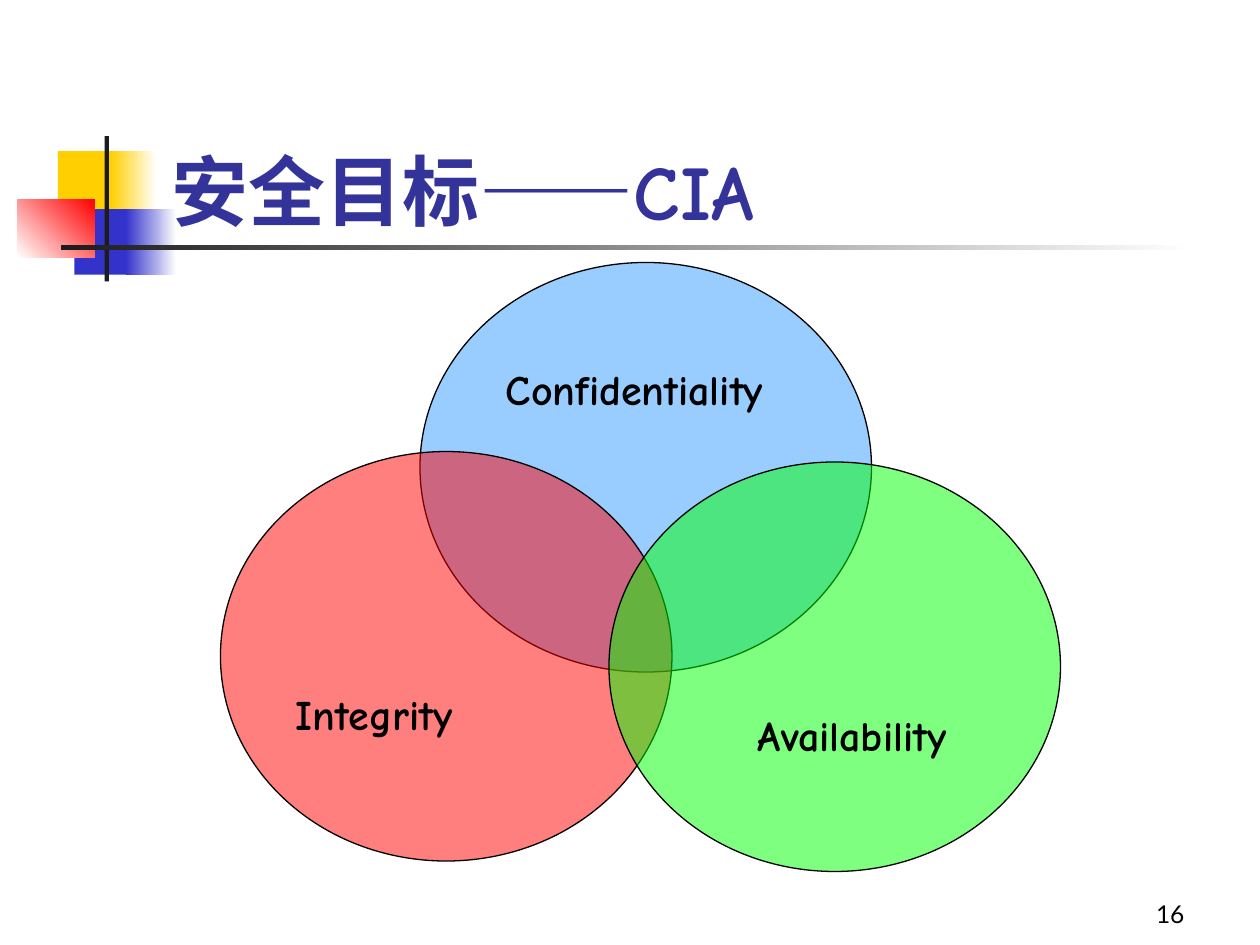
from lxml.etree import SubElement
from pptx import Presentation
from pptx.dml.color import RGBColor
from pptx.enum.shapes import MSO_SHAPE
from pptx.enum.text import MSO_ANCHOR, MSO_AUTO_SIZE, PP_ALIGN
from pptx.oxml.ns import qn
from pptx.util import Pt

COLORS = {
    "yellow": "FFCF01", "indigo": "3333CC", "red": "FF0000", "white": "FFFFFF",
    "charcoal": "1C1C1C", "title": "333399", "black": "000000",
    "sky": "99CCFF", "green": "00FF00",
}


def add_filled(kind, box, colors, angle=0):
    """Add a shape with a solid fill, or a gradient if two colours are given."""
    sp = s.shapes.add_shape(kind, *[Pt(v) for v in box])
    sp.shadow.inherit = False
    sp.line.fill.background()
    if len(colors) == 1:
        sp.fill.solid()
        sp.fill.fore_color.rgb = RGBColor.from_string(COLORS[colors[0]])
    else:
        sp.fill.gradient()
        sp.fill.gradient_angle = angle
        for stop, name, position in zip(sp.fill.gradient_stops, colors, (0, 1)):
            stop.color.rgb = RGBColor.from_string(COLORS[name])
            stop.position = position
    return sp


def write(sp, text, color, align=PP_ALIGN.LEFT, **font):
    """Put one formatted line of text into a shape."""
    tf = sp.text_frame
    tf.word_wrap = True
    tf.auto_size = MSO_AUTO_SIZE.NONE
    p = tf.paragraphs[0]
    p.alignment = align
    r = p.add_run()
    r.text = text
    for name, value in font.items():
        setattr(r.font, name, value)
    r.font.color.rgb = RGBColor.from_string(COLORS[color])


prs = Presentation()
prs.slide_width, prs.slide_height = Pt(720), Pt(540)
s = prs.slides.add_slide(prs.slide_layouts[5])
title = s.shapes.title

# Corner decoration and rule under the title
for box, colors, angle in [
    ((33.1, 86.4, 34.6, 37.4), ["yellow"], 0),
    ((63.4, 86.4, 25.9, 37.4), ["yellow", "white"], 0),
    ((42.5, 119.5, 33.1, 37.4), ["indigo"], 0),
    ((72, 119.5, 28.8, 37.4), ["indigo", "white"], 0),
    ((10, 113.8, 44, 33.1), ["white", "red"], 45),
    ((59.8, 77.8, 2.4, 83), ["charcoal"], 0),
    ((34.6, 140.2, 648, 2.4), ["charcoal", "white"], 0),
]:
    add_filled(MSO_SHAPE.RECTANGLE, box, colors, angle)

# Title
title.left, title.top, title.width, title.height = Pt(90.7), Pt(48.2), Pt(613.4), Pt(90)
title.text_frame.vertical_anchor = MSO_ANCHOR.BOTTOM
write(title, "安全目标——CIA", "title", name="Comic Neue", size=Pt(44), bold=True)

# Overlapping circles; the front two are half transparent
for left, top, color, alpha in [
    (240, 150, "sky", 100), (126, 258, "red", 50), (348, 264, "green", 50),
]:
    sp = add_filled(MSO_SHAPE.OVAL, (left, top, 258, 234), [color])
    sp.line.color.rgb = RGBColor.from_string(COLORS["black"])
    sp.line.width = Pt(0.75)
    if alpha < 100:
        rgb = sp.fill._xPr.find(qn("a:solidFill")).find(qn("a:srgbClr"))
        SubElement(rgb, qn("a:alpha"), val=str(alpha * 1000))

# Circle labels
for text, left, top, width in [
    ("Integrity", 162, 390, 156),
    ("Confidentiality", 282, 204, 192),
    ("Availability", 426, 402, 162),
]:
    label = s.shapes.add_textbox(Pt(left), Pt(top), Pt(width), Pt(36))
    write(label, text, "black", name="Comic Neue", size=Pt(24), bold=True)

# Page number
number = s.shapes.add_textbox(Pt(534), Pt(498), Pt(150), Pt(36))
number.text_frame.vertical_anchor = MSO_ANCHOR.BOTTOM
write(number, "16", "black", PP_ALIGN.RIGHT, name="Lato", size=Pt(14))

prs.save("out.pptx")
